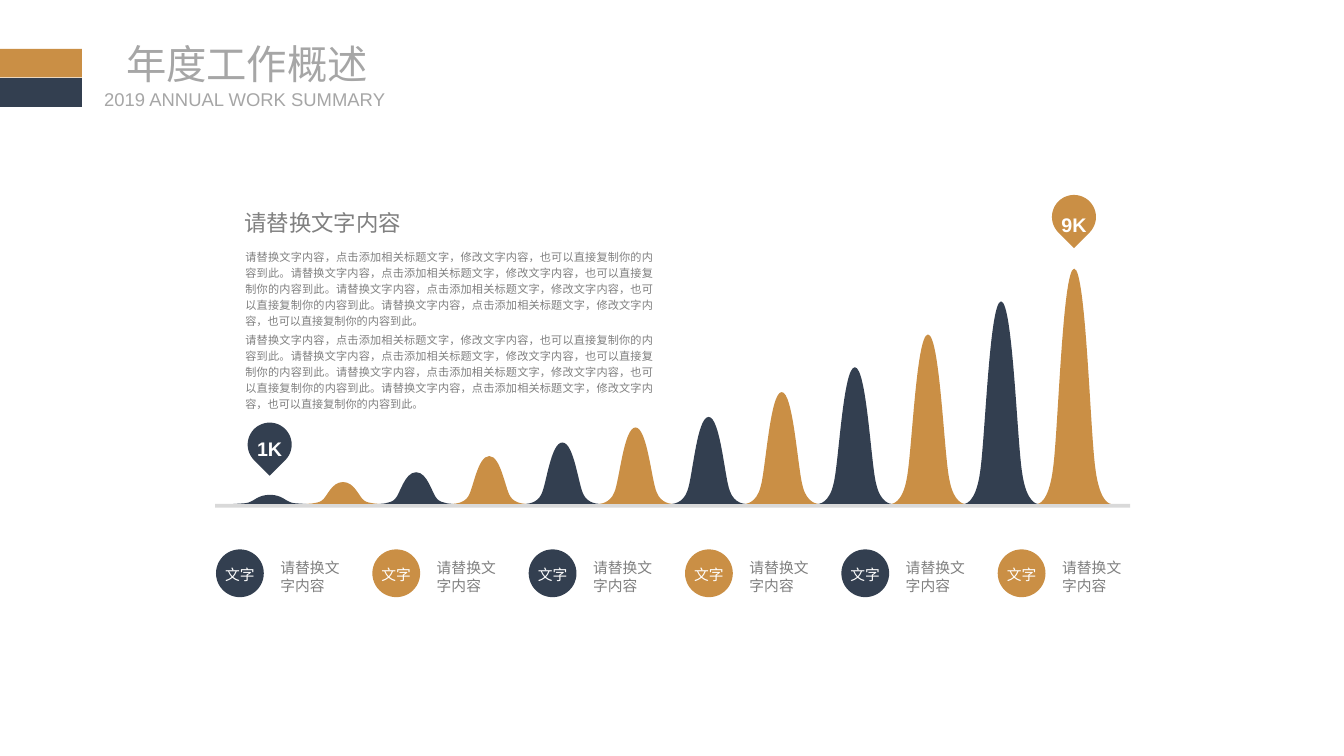
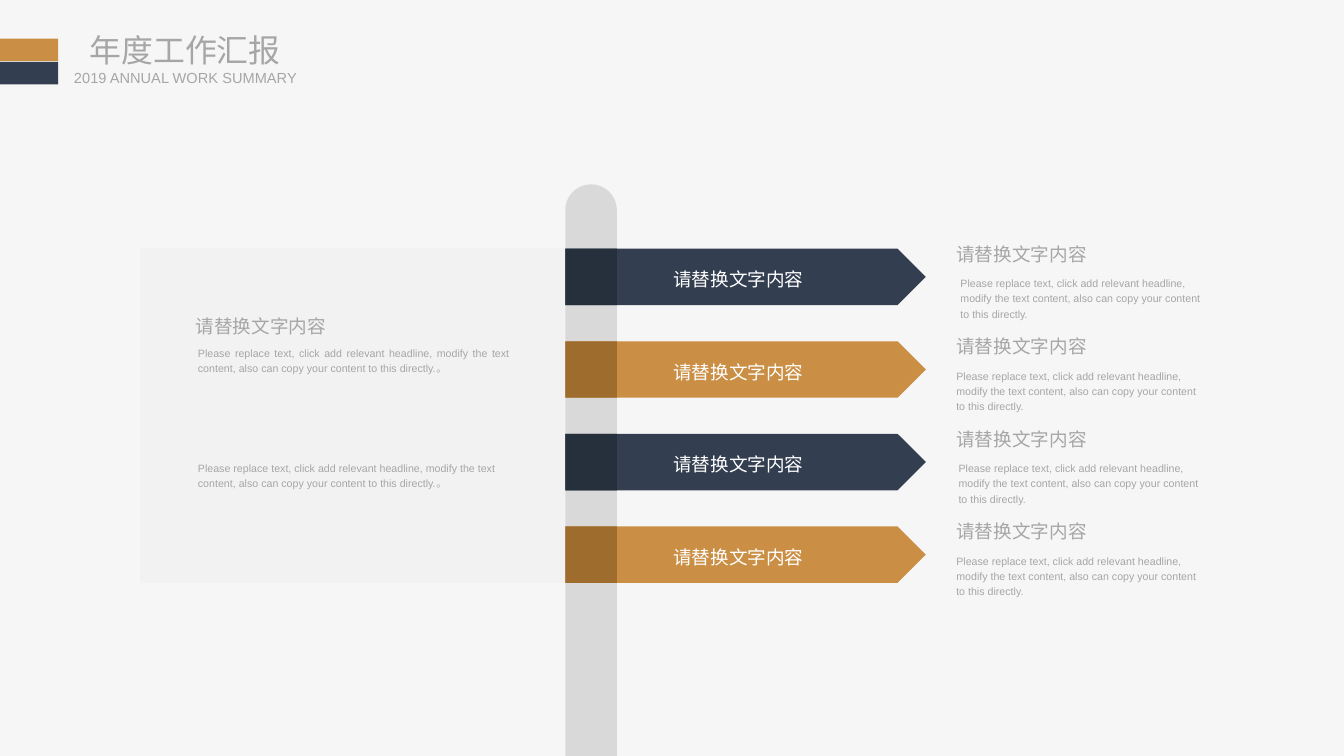
import lxml.etree
import pptx
import pptx.dml.color
import pptx.enum.shapes
import pptx.enum.text
import pptx.oxml.ns
import pptx.util

Cm = pptx.util.Cm
SHAPE = pptx.enum.shapes.MSO_SHAPE
ALIGN = pptx.enum.text.PP_ALIGN
ANCHOR = pptx.enum.text.MSO_ANCHOR
qn = pptx.oxml.ns.qn

# Shared colours and font
NAVY = pptx.dml.color.RGBColor(0x33, 0x3F, 0x50)
DARK_NAVY = pptx.dml.color.RGBColor(0x26, 0x2F, 0x3C)
GOLD = pptx.dml.color.RGBColor(0xCA, 0x8F, 0x45)
DARK_GOLD = pptx.dml.color.RGBColor(0x9E, 0x6C, 0x2D)
SILVER = pptx.dml.color.RGBColor(0xD9, 0xD9, 0xD9)
PALE = pptx.dml.color.RGBColor(0xF2, 0xF2, 0xF2)
OFF_WHITE = pptx.dml.color.RGBColor(0xF6, 0xF6, 0xF6)
WHITE = pptx.dml.color.RGBColor(0xFF, 0xFF, 0xFF)
GREY = pptx.dml.color.RGBColor(0xA6, 0xA6, 0xA6)
DARK_GREY = pptx.dml.color.RGBColor(0x80, 0x80, 0x80)
FONT = "Arial"

HEADING = "请替换文字内容"
CHINESE_BODY = "请替换文字内容，点击添加相关标题文字，修改文字内容，也可以直接复制你的内容到此。" * 4
ENGLISH_BODY = ("Please replace text, click add relevant headline, modify the text content, "
                "also can copy your content to this directly.")


def write(shape, text, size, colour=GREY, bold=False, align=ALIGN.LEFT,
          anchor=ANCHOR.TOP, spacing=1.2, inset=True, wrap=True):
    frame = shape.text_frame
    frame.auto_size = pptx.enum.text.MSO_AUTO_SIZE.NONE
    frame.word_wrap = wrap
    frame.vertical_anchor = anchor
    if not inset:
        frame.margin_left = frame.margin_right = 0
        frame.margin_top = frame.margin_bottom = 0
    frame.text = text
    paragraph = frame.paragraphs[0]
    paragraph.alignment = align
    paragraph.line_spacing = spacing
    paragraph.font.name = FONT
    paragraph.font.size = pptx.util.Pt(size)
    paragraph.font.bold = bold
    paragraph.font.color.rgb = colour


def paint(shape, colour):
    shape.shadow.inherit = False
    shape.fill.solid()
    shape.fill.fore_color.rgb = colour
    shape.line.fill.background()
    return shape


deck = pptx.Presentation()
deck.slide_width, deck.slide_height = Cm(35.71), Cm(20.09)

# Header of both slides: bands, title and subtitle, scaled across and down
slides = []
for title, title_size, subtitle_size, across, down, backdrop in (
        ("年度工作概述", 30.4, 13.9, 1, 1, WHITE),
        ("年度工作汇报", 24, 11, 0.71, 0.79, OFF_WHITE)):
    slide = deck.slides.add_slide(deck.slide_layouts[5])
    slides.append(slide)
    slide.background.fill.solid()
    slide.background.fill.fore_color.rgb = backdrop
    for band_top, colour in ((1.3, GOLD), (2.08, NAVY)):
        paint(slide.shapes.add_shape(SHAPE.RECTANGLE, 0, Cm(band_top * down),
                                     Cm(2.18 * across), Cm(0.76 * down)), colour)
    heading = slide.shapes.title
    heading.left, heading.top = Cm(3.35 * across), Cm(1.04 * down)
    heading.width, heading.height = Cm(15.39 * across), Cm(1.3 * down)
    write(heading, title, title_size, anchor=ANCHOR.MIDDLE, spacing=1.0, inset=False)
    subtitle = slide.shapes.add_textbox(Cm(2.77 * across), Cm(2.34 * down),
                                        Cm(10.95 * across), Cm(0.58 * down))
    write(subtitle, "2019 ANNUAL WORK SUMMARY", subtitle_size,
          anchor=ANCHOR.MIDDLE, spacing=1.0, inset=False)

overview, report = (slide.shapes for slide in slides)

# Slide 1: ground line
GROUND = 13.39
paint(overview.add_shape(SHAPE.RECTANGLE, *map(Cm, (5.72, GROUND, 24.31, 0.1))), SILVER)

# Unit outline of a peak: each curve has two control points and an end point
START = (1, 0)
CURVES = (((0, 0), (0, 0), (0, 0)),
          ((0, 0), (0.15, 0), (0.21, 0.15)),
          ((0.28, 0.3), (0.34, 1), (0.5, 1)),
          ((0.66, 1), (0.72, 0.3), (0.79, 0.15)),
          ((0.85, 0), (1, 0), (1, 0)))

# Row of peaks
PEAK_HEIGHTS = (0.24, 0.58, 0.84, 1.27, 1.63, 2.03, 2.31, 2.97, 3.63, 4.5, 5.38, 6.25)
PEAK_WIDTH = 21.37 / 11
for i, height in enumerate(PEAK_HEIGHTS):
    corners = [(Cm(6.2 + (i + x) * PEAK_WIDTH), Cm(GROUND - y * height))
               for x, y in (START, *(end for _, _, end in CURVES))]
    builder = overview.build_freeform(*corners[0])
    builder.add_line_segments(corners[1:], close=True)
    peak = paint(builder.convert_to_shape(), (NAVY, GOLD)[i % 2])
    # Bend the straight segments into Bezier curves
    for segment, controls in zip(list(peak.element.iter(qn("a:lnTo"))), CURVES):
        segment.tag = qn("a:cubicBezTo")
        for place, (x, y) in enumerate(controls[:2]):
            segment.insert(place, lxml.etree.Element(
                qn("a:pt"), x=str(round(x * peak.width)), y=str(round((1 - y) * peak.height))))

# Value pins over the first and last peak
for value, left, top, label_drop, colour in (("1K", 6.58, 11.23, 0.25, NAVY),
                                             ("9K", 27.95, 5.18, 0.34, GOLD)):
    pin = paint(overview.add_shape(SHAPE.TEAR, *map(Cm, (left, top, 1.17, 1.17))), colour)
    pin.rotation = 135
    write(overview.add_textbox(*map(Cm, (left, top + label_drop, 1.17, 0.76))), value, 14.8,
          colour=WHITE, bold=True, align=ALIGN.CENTER, anchor=ANCHOR.MIDDLE,
          inset=False, wrap=False)

# Legend
for i in range(6):
    left = 5.74 + i * 20.77 / 5
    label = overview.add_textbox(*map(Cm, (left + 1.55, 14.86, 1.9, 0.94)))
    write(label, HEADING, 11.1, colour=DARK_GREY, anchor=ANCHOR.MIDDLE, spacing=1.0,
          inset=False)
    label.text_frame.margin_left = Cm(0.16)
    badge = paint(overview.add_shape(SHAPE.OVAL, *map(Cm, (left, 14.6, 1.27, 1.27))),
                  (NAVY, GOLD)[i % 2])
    write(badge, "文字", 11.1, colour=WHITE, align=ALIGN.CENTER, anchor=ANCHOR.MIDDLE,
          inset=False)

# Introduction
for top in (8.79, 6.58):
    write(overview.add_textbox(*map(Cm, (6.52, top, 10.85, 2.16))), CHINESE_BODY, 8.4,
          colour=DARK_GREY, align=ALIGN.JUSTIFY, inset=False)
write(overview.add_textbox(*map(Cm, (6.49, 5.41, 4.22, 0.86))), HEADING, 16.9,
      colour=DARK_GREY, align=ALIGN.JUSTIFY, inset=False, wrap=False)

# Slide 2: signpost
POST_LEFT, POST_WIDTH = 15.02, 1.37
post = paint(report.add_shape(SHAPE.ROUND_2_SAME_RECTANGLE,
                              *map(Cm, (POST_LEFT, 4.9, POST_WIDTH, 15.19))), SILVER)
post.adjustments[0], post.adjustments[1] = 0.5, 0

# Arrow signs, each with its explanation
for i, body_left in enumerate((25.27, 25.16, 25.22, 25.16)):
    drop = i * 2.46
    sign_colour, fold_colour = ((NAVY, DARK_NAVY), (GOLD, DARK_GOLD))[i % 2]
    sign = paint(report.add_shape(SHAPE.PENTAGON,
                                  *map(Cm, (POST_LEFT, 6.61 + drop, 9.58, 1.5))), sign_colour)
    write(sign, HEADING, 14, colour=WHITE, align=ALIGN.CENTER, anchor=ANCHOR.MIDDLE)
    paint(report.add_shape(SHAPE.RECTANGLE,
                           *map(Cm, (POST_LEFT, 6.61 + drop, POST_WIDTH, 1.5))), fold_colour)
    write(report.add_textbox(*map(Cm, (25.16, 6.2 + drop, 4.01, 0.91))), HEADING, 14,
          wrap=False)
    write(report.add_textbox(*map(Cm, (body_left, 7.17 + drop, 6.93, 1.45))),
          ENGLISH_BODY, 8)

# Left panel
paint(report.add_shape(SHAPE.RECTANGLE, *map(Cm, (3.73, 6.6, 11.28, 8.89))), PALE)
write(report.add_textbox(*map(Cm, (4.95, 8.13, 4.27, 0.91))), HEADING, 14)
for top, align in ((9.02, ALIGN.JUSTIFY), (12.09, ALIGN.LEFT)):
    write(report.add_textbox(*map(Cm, (5.01, top, 8.79, 1.04))), ENGLISH_BODY + "。", 8,
          align=align)

deck.save("out.pptx")
